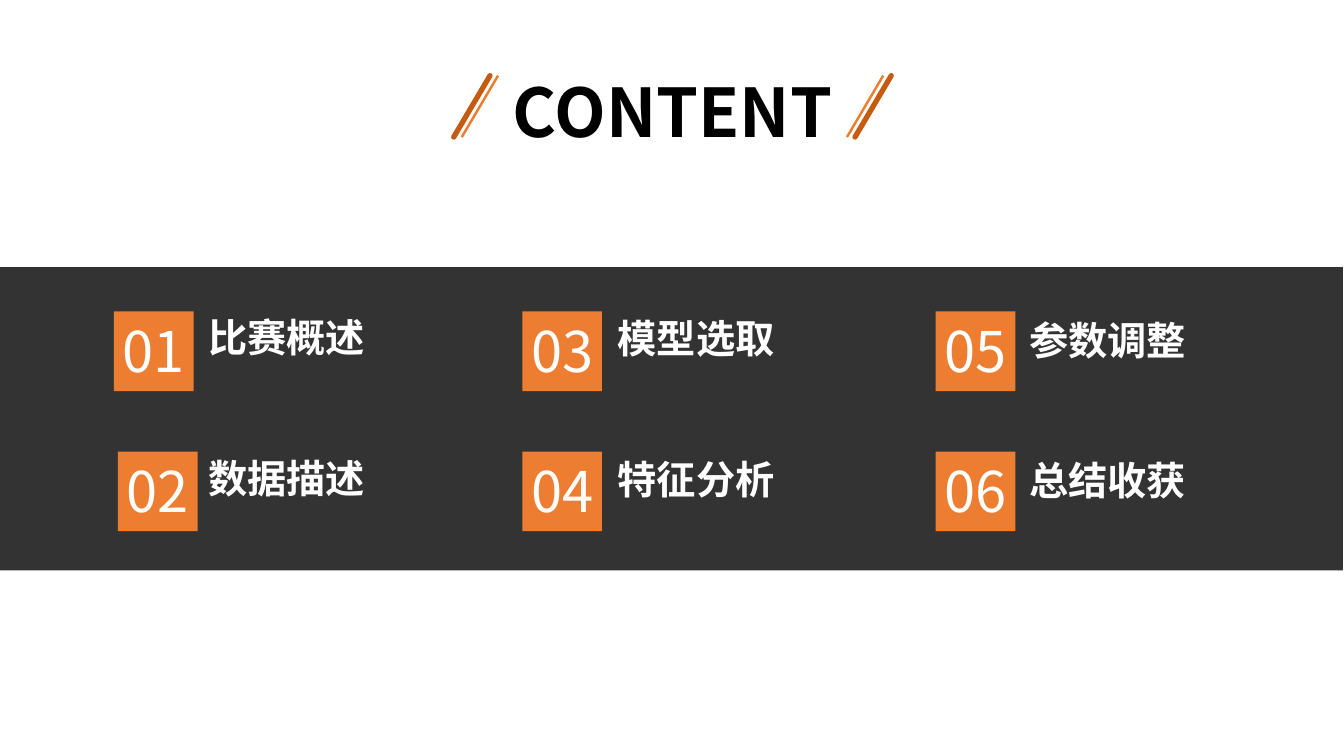
from lxml.etree import SubElement
from pptx import Presentation
from pptx.dml.color import RGBColor
from pptx.enum.shapes import MSO_CONNECTOR, MSO_SHAPE
from pptx.enum.text import MSO_ANCHOR, MSO_AUTO_SIZE, PP_ALIGN
from pptx.oxml.ns import qn
from pptx.util import Inches, Pt

FONT = "Noto Sans CJK SC"
BLACK = RGBColor(0x00, 0x00, 0x00)
WHITE = RGBColor(0xFF, 0xFF, 0xFF)
ORANGE = RGBColor(0xED, 0x7D, 0x31)
DARK_ORANGE = RGBColor(0xC5, 0x5A, 0x11)

TITLE = "CONTENT"
COLUMNS = [
    (5.18 - 4.05, 1.97, ["比赛概述", "数据描述"]),
    (5.18, 6.03, ["模型选取", "特征分析"]),
    (9.28, 10.11, ["参数调整", "总结收获"]),
]
TILE_SHIFTS = {2: 0.04}
LABEL_TOPS = [[3.06, 4.46], [3.07, 4.47], [3.09, 4.48]]
SLASHES = [
    (4.94, ORANGE, 1.75),
    (8.76, ORANGE, 1.75),
    (8.84, DARK_ORANGE, 3.75),
    (4.86, DARK_ORANGE, 3.75),
]
SLASH_TOP, SLASH_BOTTOM, SLASH_RUN = 0.75, 1.36, 0.36
TILE_TOP, ROW_STEP, TILE_SIZE = 3.09, 1.39, 0.79
NUMBER_WIDTH, NUMBER_HEIGHT = 0.95, 0.77
LABEL_WIDTH, LABEL_HEIGHT = 2.1, 0.57


def write(shape, text, size, color, bold=False, alignment=PP_ALIGN.LEFT,
          anchor=MSO_ANCHOR.MIDDLE, wrap=True):
    frame = shape.text_frame
    frame.auto_size = MSO_AUTO_SIZE.NONE
    frame.word_wrap = wrap
    frame.vertical_anchor = anchor
    paragraph = frame.paragraphs[0]
    paragraph.alignment = alignment
    run = paragraph.add_run()
    run.text = text
    run.font.size = Pt(size)
    run.font.bold = bold
    run.font.name = FONT
    run.font.color.rgb = color
    SubElement(run.font._element, qn("a:ea"), typeface=FONT)


def add_box(slide, left, top, width, height, color):
    box = slide.shapes.add_shape(MSO_SHAPE.RECTANGLE, Inches(left), Inches(top),
                                 Inches(width), Inches(height))
    box.shadow.inherit = False
    box.fill.solid()
    box.fill.fore_color.rgb = color
    box.line.fill.background()
    return box


def add_text(slide, left, top, width, height, text, size, **style):
    textbox = slide.shapes.add_textbox(Inches(left), Inches(top),
                                       Inches(width), Inches(height))
    write(textbox, text, size, WHITE, **style)


def add_slash(slide, right, color, weight):
    slash = slide.shapes.add_connector(
        MSO_CONNECTOR.STRAIGHT, Inches(right), Inches(SLASH_TOP),
        Inches(right - SLASH_RUN), Inches(SLASH_BOTTOM))
    slash.line.color.rgb = color
    slash.line.width = Pt(weight)
    if color == DARK_ORANGE:
        slash.line._get_or_add_ln().set("cap", "rnd")
    SubElement(slash._element.spPr, qn("a:effectLst"))


def add_entry(slide, number, label, tile_left, tile_top, label_left, label_top):
    add_box(slide, tile_left, tile_top, TILE_SIZE, TILE_SIZE, ORANGE)
    number_left = tile_left + (TILE_SIZE - NUMBER_WIDTH) / 2
    add_text(slide, number_left, tile_top, NUMBER_WIDTH, NUMBER_HEIGHT,
             f"{number:02d}", 40, alignment=PP_ALIGN.CENTER)
    add_text(slide, label_left, label_top, LABEL_WIDTH, LABEL_HEIGHT,
             label, 28, bold=True)


def main():
    presentation = Presentation()
    presentation.slide_width = Inches(13.33)
    presentation.slide_height = Inches(7.5)
    slide = presentation.slides.add_slide(presentation.slide_layouts[5])

    band = add_box(slide, -0.06, 2.65, 13.38, 3.01, BLACK)
    band_color = band.fill._xPr.find(qn("a:solidFill"))[0]
    SubElement(band_color, qn("a:alpha"), val="80000")

    title = slide.shapes.title
    title.left, title.top = Inches(4.88), Inches(0.65)
    title.width, title.height = Inches(3.58), Inches(0.91)
    write(title, TITLE, 48, BLACK, bold=True, alignment=PP_ALIGN.CENTER,
          anchor=MSO_ANCHOR.TOP, wrap=False)

    for right, color, weight in SLASHES:
        add_slash(slide, right, color, weight)

    number = 0
    for (tile_left, label_left, labels), label_tops in zip(COLUMNS, LABEL_TOPS):
        for row, (label, label_top) in enumerate(zip(labels, label_tops)):
            number += 1
            add_entry(slide, number, label,
                      tile_left + TILE_SHIFTS.get(number, 0),
                      TILE_TOP + row * ROW_STEP, label_left, label_top)

    presentation.save("out.pptx")


if __name__ == "__main__":
    main()
